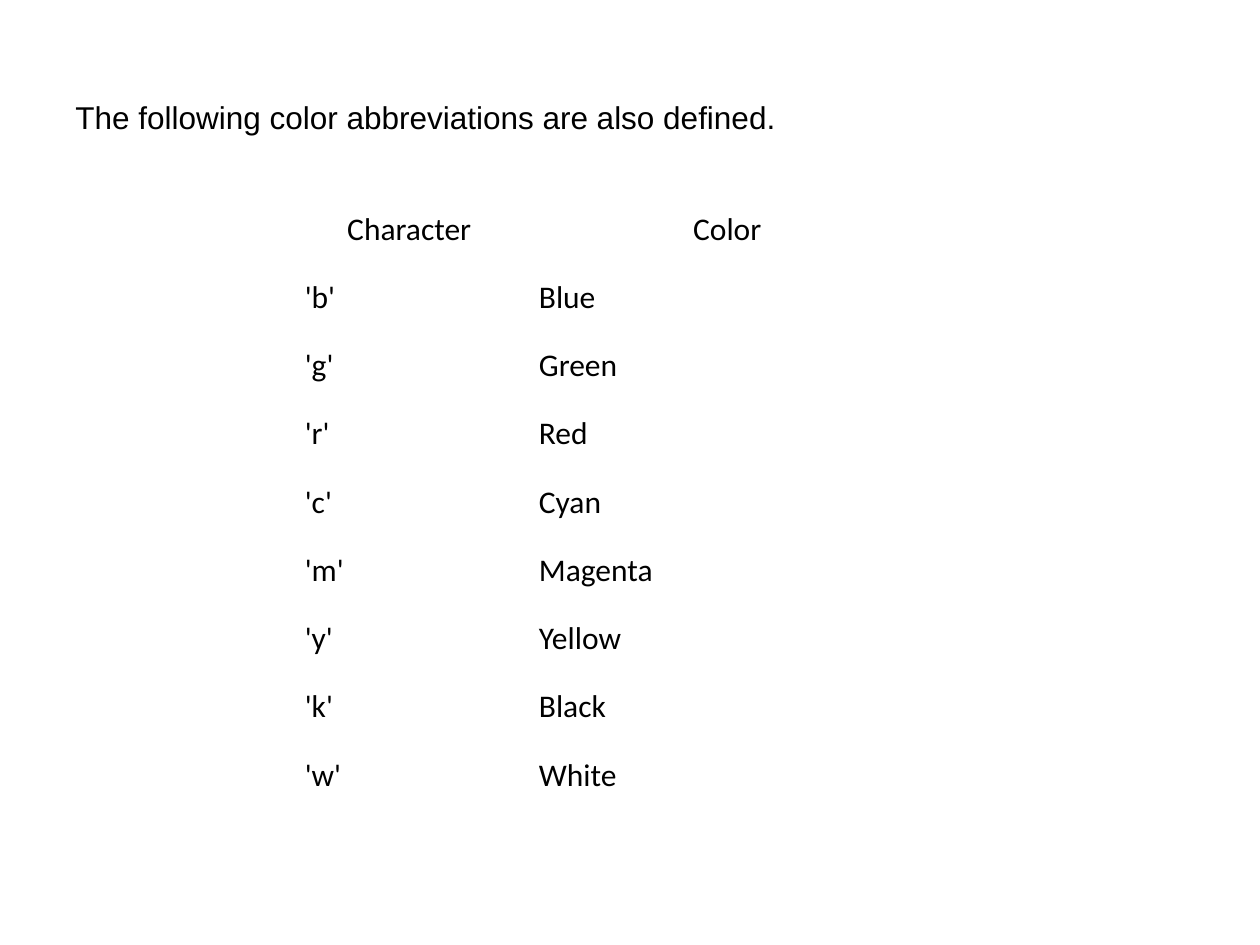
from pptx import Presentation
from pptx.dml.color import RGBColor
from pptx.enum.text import MSO_ANCHOR, PP_ALIGN
from pptx.util import Cm, Pt

COLORS = {"text": "000000"}
ROWS = [
    ("Character", "Color"),
    ("'b'", "Blue"),
    ("'g'", "Green"),
    ("'r'", "Red"),
    ("'c'", "Cyan"),
    ("'m'", "Magenta"),
    ("'y'", "Yellow"),
    ("'k'", "Black"),
    ("'w'", "White"),
]


def write(p, text, font, align):
    p.text = text
    p.alignment = align
    p.font.name = font
    p.font.size = Pt(18)
    p.font.bold = False
    p.font.color.rgb = RGBColor.from_string(COLORS["text"])


prs = Presentation()
prs.slide_width, prs.slide_height = Cm(25.4), Cm(19.05)
slide = prs.slides.add_slide(prs.slide_layouts[6])

# Introductory sentence
intro = slide.shapes.add_textbox(Cm(1.27), Cm(0.76), Cm(22.86), Cm(3.18))
tf = intro.text_frame
tf.word_wrap = True
tf.vertical_anchor = MSO_ANCHOR.MIDDLE
write(tf.paragraphs[0], "The following color abbreviations are also defined.",
      "Arial", PP_ALIGN.LEFT)

# Table of abbreviations, without banding or fills
widths = [Cm(4.72), Cm(8.1)]
row_height = Cm(1.375)
table = slide.shapes.add_table(len(ROWS), len(widths), Cm(5.89), Cm(3.94),
                               sum(widths), row_height * len(ROWS)).table
table.first_row = False
table.horz_banding = False
for column, width in zip(table.columns, widths):
    column.width = width

for i, row in enumerate(ROWS):
    table.rows[i].height = row_height
    for j, text in enumerate(row):
        cell = table.cell(i, j)
        cell.fill.background()
        cell.vertical_anchor = MSO_ANCHOR.MIDDLE
        write(cell.text_frame.paragraphs[0], text, "Calibri",
              PP_ALIGN.LEFT if i else PP_ALIGN.CENTER)

prs.save("out.pptx")
